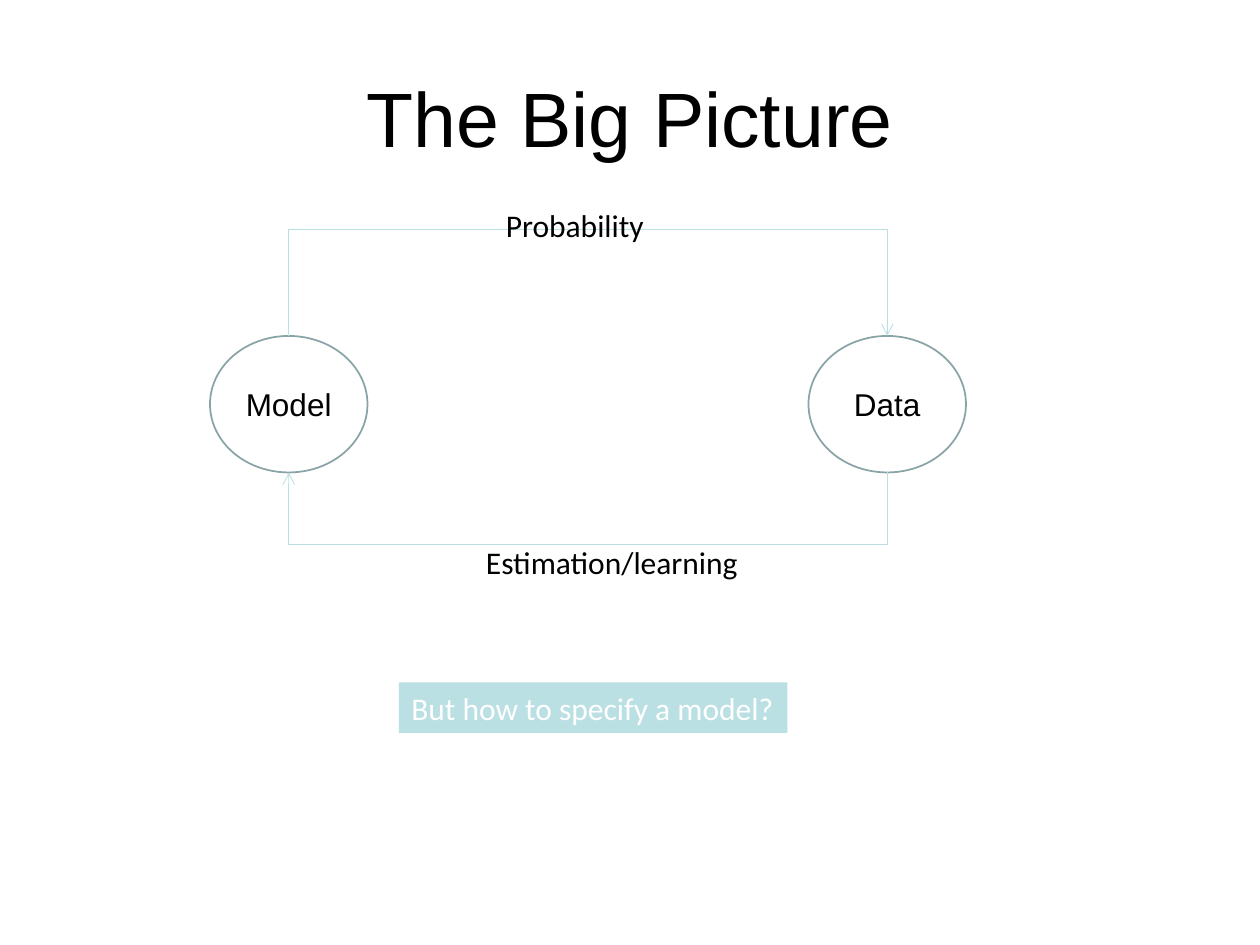
from lxml import etree
from pptx import Presentation
from pptx.dml.color import RGBColor
from pptx.enum import shapes, text
from pptx.oxml.ns import qn
from pptx.util import Pt

BLACK, WHITE, PALE, RIM = "000000", "FFFFFF", "BBE0E3", "89A4A7"


def color(code):
    return RGBColor.from_string(code)


def write(shape, words, size=18, font="Calibri", ink=BLACK,
          align=text.PP_ALIGN.LEFT, anchor=text.MSO_ANCHOR.TOP, wrap=True):
    frame = shape.text_frame
    frame.word_wrap = wrap
    frame.vertical_anchor = anchor
    para = frame.paragraphs[0]
    para.alignment = align
    run = para.add_run()
    run.text = words
    run.font.size = Pt(size)
    run.font.name = font
    run.font.color.rgb = color(ink)


def label(slide, words, box, **style):
    shape = slide.shapes.add_textbox(*map(Pt, box))
    write(shape, words, **style)
    return shape


def node(slide, words, left, top, width, height):
    oval = slide.shapes.add_shape(
        shapes.MSO_SHAPE.OVAL, *map(Pt, (left, top, width, height)))
    oval.shadow.inherit = False
    oval.fill.background()
    oval.line.color.rgb = color(RIM)
    oval.line.width = Pt(1)
    write(oval, words, font="Arial", align=text.PP_ALIGN.CENTER,
          anchor=text.MSO_ANCHOR.MIDDLE)


def loop(slide, left, right, level, reach, up):
    """Elbow arrow that leaves one node and enters the other on the same side.

    The elbow is a thin upright connector given a quarter turn; its
    adjustment pushes the middle stretch out by reach.
    """
    thin, span = 0.25, right - left
    line = slide.shapes.add_connector(
        shapes.MSO_CONNECTOR.ELBOW, 0, 0, Pt(thin), Pt(span))
    line.left = Pt((left + right - thin) / 2)
    line.top = Pt(level - span / 2)
    line.line.color.rgb = color(PALE)
    line.line.width = Pt(0.5)
    props = line._element.spPr
    frame = props.find(qn("a:xfrm"))
    frame.set("rot", "5400000")
    if up:
        frame.set("flipH", "1")
        frame.set("flipV", "1")
    guides = props.find(qn("a:prstGeom")).get_or_add_avLst()
    etree.SubElement(guides, qn("a:gd"), name="adj1",
                     fmla=f"val {round(reach / thin * 100000)}")
    etree.SubElement(props.find(qn("a:ln")), qn("a:tailEnd"), type="arrow")
    etree.SubElement(props, qn("a:effectLst"))


def main():
    deck = Presentation()
    deck.slide_width, deck.slide_height = Pt(720), Pt(540)
    slide = deck.slides.add_slide(deck.slide_layouts[6])

    # Title
    label(slide, "The Big Picture", (36, 21.6, 648, 90), size=44, font="Arial",
          align=text.PP_ALIGN.CENTER, anchor=text.MSO_ANCHOR.MIDDLE)

    # Model and data
    top, width, height = 192, 90, 78
    lefts = (120, 462)
    for words, left in zip(("Model", "Data"), lefts):
        node(slide, words, left, top, width, height)

    # Arrows between them, with their labels
    ends = [left + width / 2 for left in lefts]
    loop(slide, *ends, top, 59.7, up=True)
    label(slide, "Probability", (282, 114, 93.6, 28.8), wrap=False)
    loop(slide, *ends, top + height, 40.4, up=False)
    label(slide, "Estimation/learning", (270.6, 306.6, 158.4, 28.8), wrap=False)

    # Closing question
    note = label(slide, "But how to specify a model?", (228, 390, 222, 28.8),
                 ink=WHITE)
    note.fill.solid()
    note.fill.fore_color.rgb = color(PALE)

    deck.save("out.pptx")


if __name__ == "__main__":
    main()
